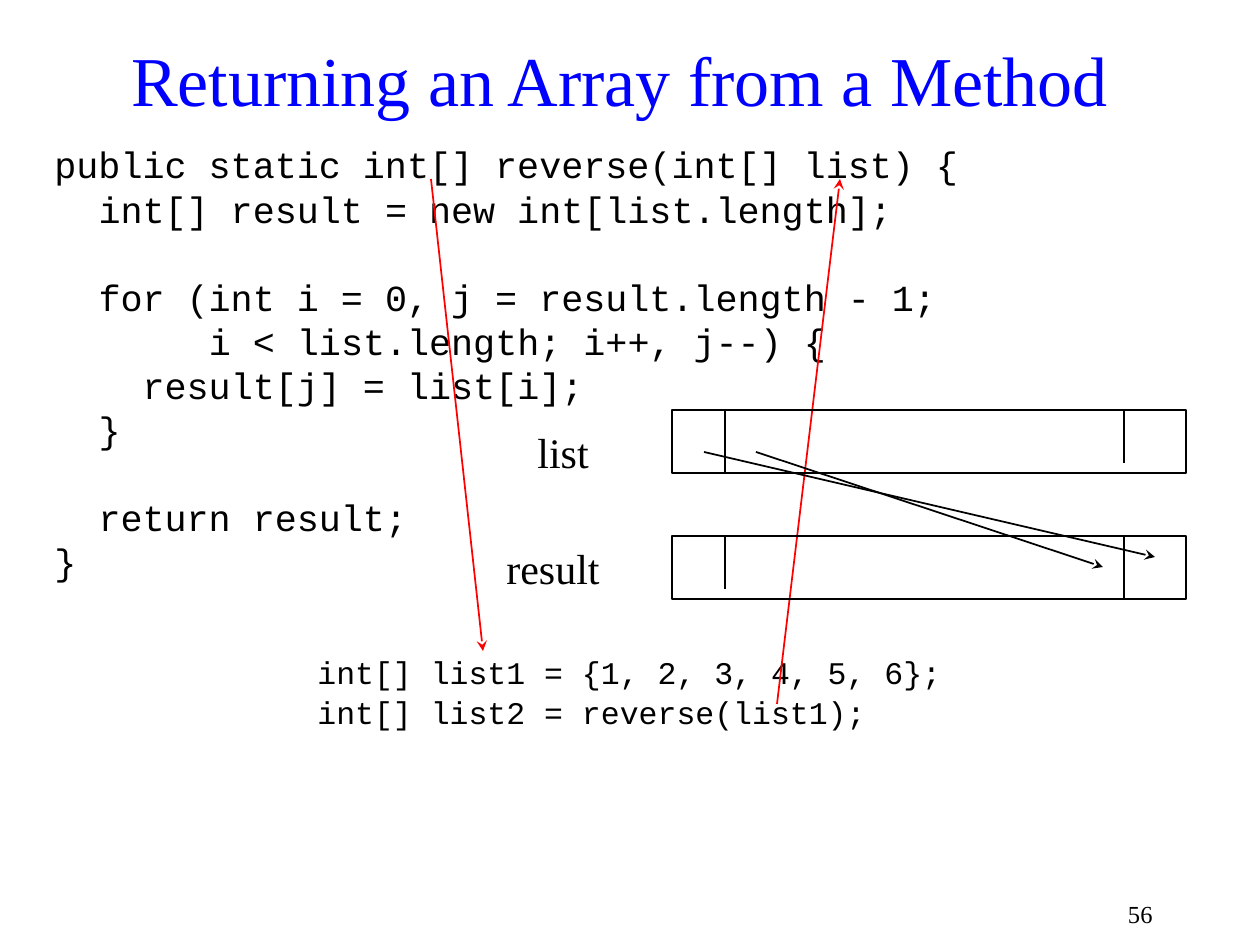
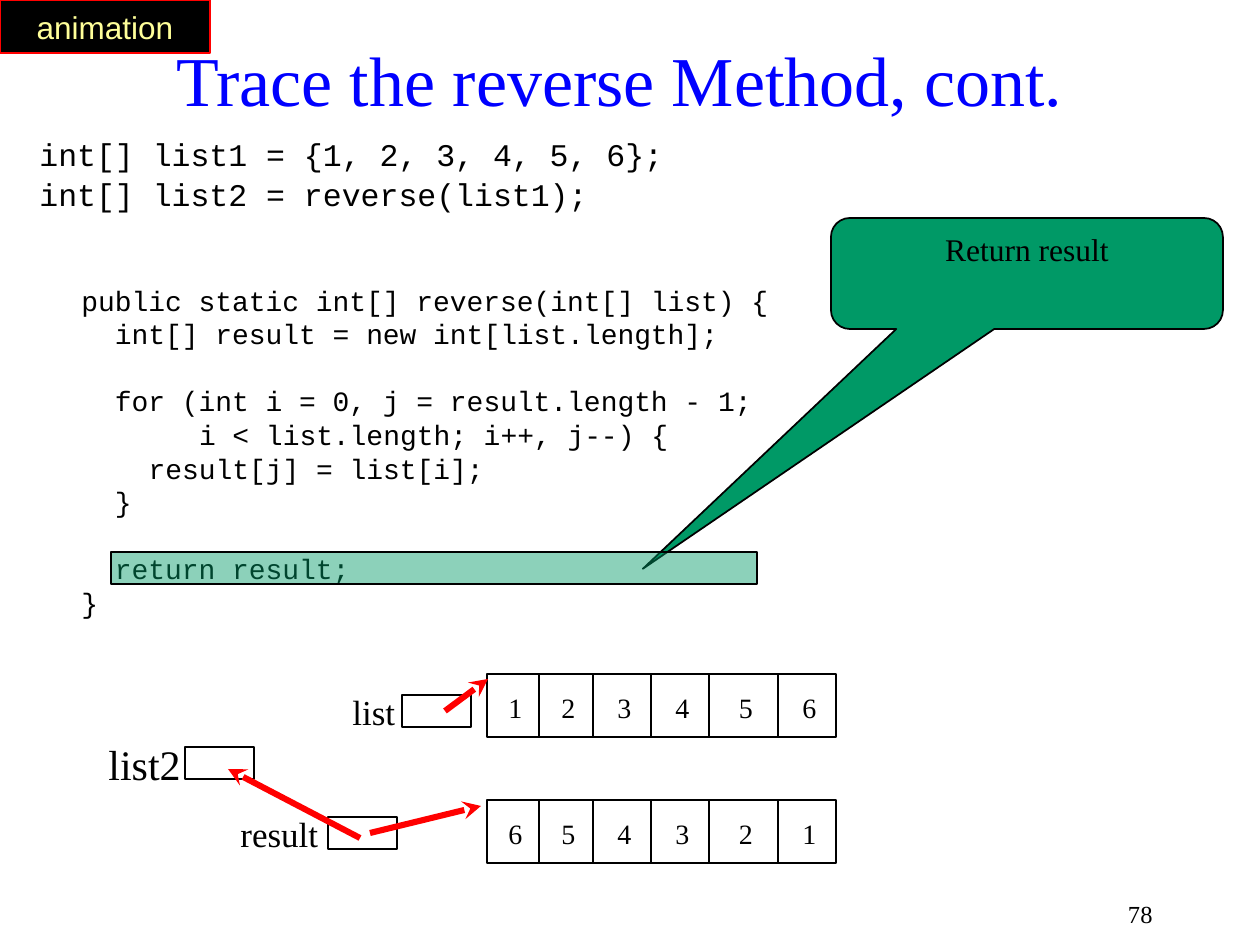
from dataclasses import dataclass
from itertools import pairwise

from lxml.etree import SubElement
from pptx import Presentation
from pptx.dml.color import RGBColor
from pptx.enum.shapes import MSO_CONNECTOR, MSO_SHAPE
from pptx.enum.text import MSO_ANCHOR, PP_ALIGN
from pptx.oxml.ns import qn
from pptx.util import Emu, Inches, Pt


@dataclass(frozen=True)
class Theme:
    serif: str = "Times New Roman"
    mono: str = "Courier New"
    sans: str = "Arial"
    black: str = "000000"
    blue: str = "0000FF"
    red: str = "FF0000"
    green: str = "009966"
    yellow: str = "FFFF99"
    title: int = 40
    label: int = 24
    small_label: int = 20
    body: int = 18
    cell: int = 16
    number: int = 14
    thin: float = 1
    thick: float = 3.5
    char_width: float = 0.6     # monospaced advance, in ems
    line_height: float = 1.2    # height of an empty code line, in ems


T = Theme()
SCALE = Inches(1) / 126

REVERSE = """\
public static int[] reverse(int[] list) {
  int[] result = new int[list.length];

  for (int i = 0, j = result.length - 1;
       i < list.length; i++, j--) {
    result[j] = list[i];
  }

  return result;
}"""
CALL = """\
int[] list1 = {1, 2, 3, 4, 5, 6};
int[] list2 = reverse(list1);"""


def px(value):
    return Emu(round(value * SCALE))


def rgb(value):
    return RGBColor.from_string(value)


# Basic parts
def format_text(sp, text, size=T.body, font=T.serif, color=T.black,
                align=PP_ALIGN.LEFT, anchor=MSO_ANCHOR.TOP, wrap=True,
                spacing=None, before=0):
    """Leading spaces become indents; empty lines become space before."""
    tf = sp.text_frame
    tf.word_wrap = wrap
    tf.vertical_anchor = anchor
    gap, first = before, True
    for line in text.splitlines():
        words = line.strip()
        if not words:
            gap += size * T.line_height
            continue
        p = tf.paragraphs[0] if first else tf.add_paragraph()
        p.alignment = align
        p.space_before = Pt(gap)
        if spacing:
            p.line_spacing = spacing
        depth = len(line) - len(line.lstrip())
        if depth:
            indent = Pt(depth * T.char_width * size)
            p._p.get_or_add_pPr().set("marL", str(indent))
        r = p.add_run()
        r.text = words
        r.font.size, r.font.name = Pt(size), font
        r.font.color.rgb = rgb(color)
        gap, first = before, False


def add_text(s, box, text, **kwargs):
    sp = s.shapes.add_textbox(*map(px, box))
    format_text(sp, text, **kwargs)
    return sp


def add_box(s, box, kind=MSO_SHAPE.RECTANGLE, fill=None, line=T.black,
            opacity=None):
    sp = s.shapes.add_shape(kind, *map(px, box))
    sp.shadow.inherit = False
    sp.line.color.rgb = rgb(line)
    sp.line.width = Pt(T.thin)
    if fill is None:
        sp.fill.background()
    else:
        sp.fill.solid()
        sp.fill.fore_color.rgb = rgb(fill)
    if opacity:
        clr = sp._element.spPr.find(qn("a:solidFill"))[0]
        SubElement(clr, qn("a:alpha")).set("val", str(opacity * 1000))
    return sp


def add_line(s, start, end, color=T.black, width=T.thin, arrow=False):
    sp = s.shapes.add_connector(MSO_CONNECTOR.STRAIGHT,
                                *map(px, (*start, *end)))
    sp.line.color.rgb = rgb(color)
    sp.line.width = Pt(width)
    if arrow:
        SubElement(sp.line._get_or_add_ln(), qn("a:tailEnd")).set("type", "stealth")
    SubElement(sp._element.spPr, qn("a:effectLst"))


# Regions
def base_slide(prs, title, number):
    s = prs.slides.add_slide(prs.slide_layouts[6])
    add_text(s, (903, 882, 262, 63), str(number), size=T.number,
             align=PP_ALIGN.RIGHT, anchor=MSO_ANCHOR.MIDDLE, wrap=False)
    add_text(s, (84, 42, 1071, 73), title, size=T.title, color=T.blue,
             align=PP_ALIGN.CENTER, anchor=MSO_ANCHOR.MIDDLE)
    return s


def code(s, box, size):
    add_text(s, box, REVERSE, size=size, font=T.mono)


def call(s, x, y):
    add_text(s, (x, y, 924, 95), CALL, font=T.mono, spacing=0.9,
             before=0.2 * T.body)


def array(s, box, dividers):
    """An array bar; dividers are (offset, length) pairs."""
    x, y = box[:2]
    add_box(s, box)
    for dx, length in dividers:
        add_line(s, (x + dx, y), (x + dx, y + length))


def filled_array(s, x, y, values):
    edges = (0, 52, 106, 164, 222, 291, 349)
    height = 63
    array(s, (x, y, edges[-1], height), [(e, height) for e in edges[1:-1]])
    for value, (left, right) in zip(values, pairwise(edges)):
        middle = (left + right) / 2
        add_text(s, (x + middle - 17, y + 10, 32, 47), str(value), size=T.cell)


def variable(s, x, y, name, dx, dy, size=T.small_label):
    """A name with its reference box, offset by (dx, dy)."""
    add_text(s, (x, y, 147, 54), name, size=size)
    add_box(s, (x + dx, y + dy, 69, 32))


def callout(s, box, text):
    sp = add_box(s, box, MSO_SHAPE.ROUNDED_RECTANGULAR_CALLOUT, fill=T.green)
    for i, value in enumerate((-0.98, 2.66, 0.17)):
        sp.adjustments[i] = value
    format_text(sp, text, align=PP_ALIGN.CENTER)


def badge(s, box, text):
    sp = add_box(s, box, fill=T.black, line=T.red)
    format_text(sp, text, font=T.sans, color=T.yellow, align=PP_ALIGN.CENTER,
                anchor=MSO_ANCHOR.MIDDLE, wrap=False)


# Slides
def returning_slide(prs):
    s = base_slide(prs, "Returning an Array from a Method", 56)
    code(s, (42, 136, 1176, 231), 21)
    call(s, 305, 651)

    # Argument passed in, result handed back
    for start, end in (((777, 704), (840, 179)), ((431, 179), (483, 651))):
        add_line(s, start, end, color=T.red, arrow=True)

    # Two arrays, with their end cells swapped
    for y, lengths in ((410, (63, 53)), (536, (53, 63))):
        array(s, (672, y, 514, 63), zip((53, 452), lengths))
    add_text(s, (525, 420, 105, 63), "list", size=T.label)
    add_text(s, (494, 536, 147, 63), "result", size=T.label)
    for start, end in (((704, 452), (1155, 557)), ((756, 452), (1103, 567))):
        add_line(s, start, end, arrow=True)


def trace_slide(prs):
    s = base_slide(prs, "Trace the reverse Method, cont.", 78)
    code(s, (69, 277, 726, 352), 16)
    call(s, 27, 133)

    # Current statement
    callout(s, (831, 218, 392, 111), "Return result")
    add_box(s, (111, 552, 646, 32), fill=T.green, opacity=45)

    # Memory: arrays, variables and references
    values = range(1, 7)
    filled_array(s, 487, 674, values)
    filled_array(s, 487, 800, reversed(values))
    variable(s, 340, 684, "list", 62, 11)
    variable(s, 228, 806, "result", 100, 11)
    variable(s, 96, 732, "list2", 89, 15, size=T.label)
    for start, end in (((370, 833), (481, 806)), ((445, 711), (488, 679)),
                       ((360, 838), (228, 769))):
        add_line(s, start, end, color=T.red, width=T.thick, arrow=True)

    badge(s, (0, 0, 210, 53), "animation")


prs = Presentation()
prs.slide_width, prs.slide_height = px(1260), px(945)
returning_slide(prs)
trace_slide(prs)
prs.save("out.pptx")
